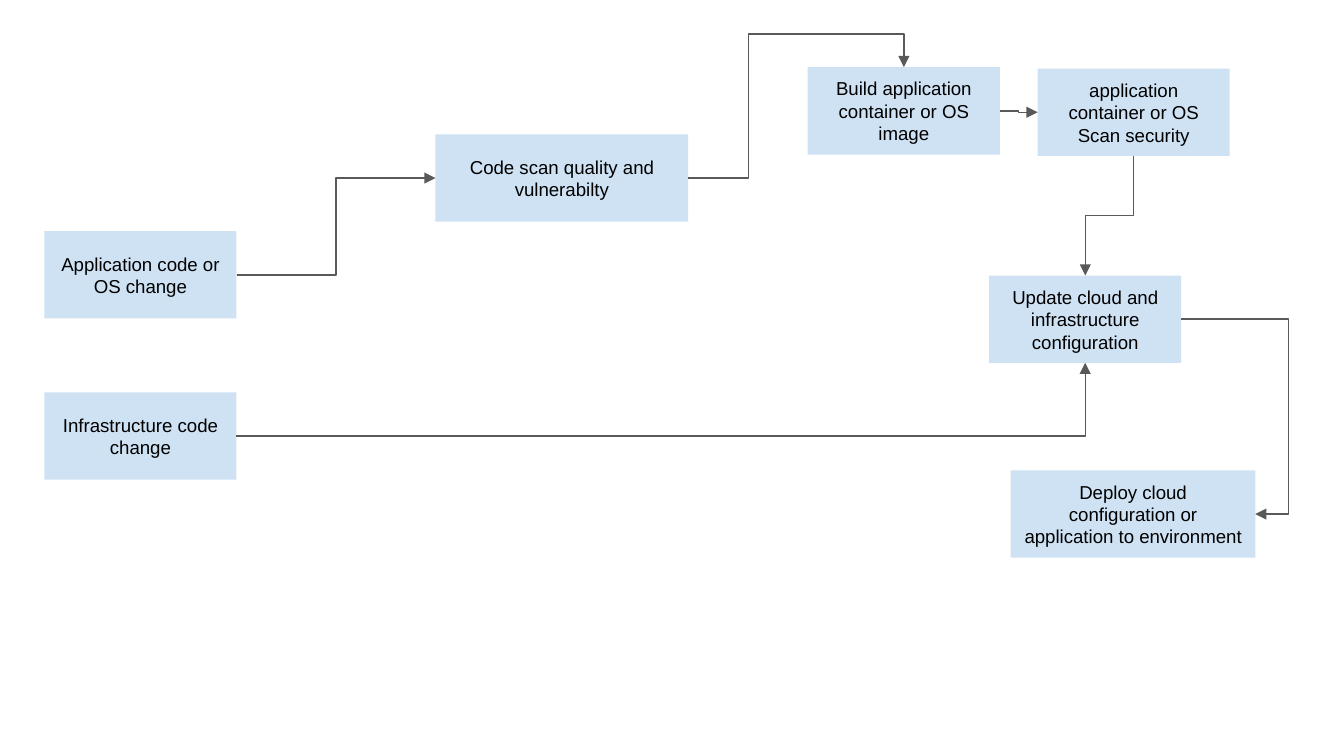
import pptx
import pptx.util
import pptx.dml.color
import pptx.enum.shapes
import pptx.enum.text
import pptx.oxml.ns
from lxml import etree

Inches = pptx.util.Inches
Pt = pptx.util.Pt
qn = pptx.oxml.ns.qn

BOX_FILL = pptx.dml.color.RGBColor(0xCF, 0xE2, 0xF3)
TEXT_COLOR = pptx.dml.color.RGBColor(0x00, 0x00, 0x00)
LINE_COLOR = pptx.dml.color.RGBColor(0x59, 0x59, 0x59)

BOX_HEIGHT = 0.65
BOX_WIDTH = 1.43
TOP, LEFT, BOTTOM, RIGHT = range(4)

# Step name: left, top, width, wording
STEPS = {
    "build": (6.01, 0.5, BOX_WIDTH, "Build application container or OS image"),
    "deploy": (7.52, 3.5, 1.82, "Deploy cloud configuration or application to environment"),
    "update": (7.36, 2.05, BOX_WIDTH, "Update cloud and infrastructure configuration"),
    "app_change": (0.33, 1.72, BOX_WIDTH, "Application code or OS change"),
    "infra_change": (0.33, 2.92, BOX_WIDTH, "Infrastructure code change"),
    "code_scan": (3.24, 1.0, 1.88, "Code scan quality and vulnerabilty"),
    "image_scan": (7.72, 0.51, BOX_WIDTH, "application container or OS Scan security"),
}

# Start step and side, end step and side, bend preset, bend adjustments
FLOWS = [
    ("app_change", RIGHT, "code_scan", LEFT, "bentConnector3", [0.5]),
    ("infra_change", RIGHT, "update", BOTTOM, "bentConnector2", []),
    ("update", RIGHT, "deploy", RIGHT, "bentConnector3", [1.45]),
    ("code_scan", RIGHT, "build", TOP, "bentConnector4", [0.28, 1.3]),
    ("build", RIGHT, "image_scan", LEFT, "bentConnector3", [0.5]),
    ("image_scan", BOTTOM, "update", TOP, "bentConnector3", [0.5]),
]


def add_step(page, left, top, width, wording):
    box = page.shapes.add_shape(
        pptx.enum.shapes.MSO_SHAPE.RECTANGLE,
        Inches(left), Inches(top), Inches(width), Inches(BOX_HEIGHT))
    box.shadow.inherit = False
    box.fill.solid()
    box.fill.fore_color.rgb = BOX_FILL
    box.line.fill.background()

    frame = box.text_frame
    frame.word_wrap = True
    frame.vertical_anchor = pptx.enum.text.MSO_ANCHOR.MIDDLE
    frame.margin_left = frame.margin_right = Inches(0.1)
    frame.margin_top = frame.margin_bottom = Inches(0.1)
    frame.text = wording
    para = frame.paragraphs[0]
    para.alignment = pptx.enum.text.PP_ALIGN.CENTER
    span = para.runs[0]
    span.font.name = "Arial"
    span.font.size = Pt(10)
    span.font.color.rgb = TEXT_COLOR
    return box


def turn_downward(flow):
    """Rotate a down-and-left connector so that it leaves vertically."""
    center_x = flow.left + flow.width // 2
    center_y = flow.top + flow.height // 2
    flow.width, flow.height = flow.height, flow.width
    flow.left = center_x - flow.width // 2
    flow.top = center_y - flow.height // 2
    frame = flow.element.spPr.find(qn("a:xfrm"))
    frame.attrib.pop("flipH", None)
    frame.set("rot", str(90 * 60000))


def add_flow(page, start, start_side, end, end_side, preset, bends):
    flow = page.shapes.add_connector(
        pptx.enum.shapes.MSO_CONNECTOR.ELBOW, 0, 0, 0, 0)
    flow.begin_connect(start, start_side)
    flow.end_connect(end, end_side)
    if start_side == BOTTOM:
        turn_downward(flow)
    flow.line.color.rgb = LINE_COLOR
    flow.line.width = Pt(0.75)

    # Bend shape, arrowhead and no shadow
    properties = flow.element.spPr
    geometry = properties.find(qn("a:prstGeom"))
    geometry.set("prst", preset)
    guides = geometry.find(qn("a:avLst"))
    if guides is None:
        guides = etree.SubElement(geometry, qn("a:avLst"))
    for number, bend in enumerate(bends, 1):
        etree.SubElement(guides, qn("a:gd"), name=f"adj{number}",
                         fmla=f"val {round(bend * 100000)}")
    etree.SubElement(properties.find(qn("a:ln")), qn("a:tailEnd"), type="triangle")
    etree.SubElement(properties, qn("a:effectLst"))


def add_pipeline(page):
    boxes = {name: add_step(page, *step) for name, step in STEPS.items()}
    for start, start_side, end, end_side, preset, bends in FLOWS:
        add_flow(page, boxes[start], start_side, boxes[end], end_side, preset, bends)


def main():
    deck = pptx.Presentation()
    # Widescreen page, 16:9
    deck.slide_width = Inches(10)
    deck.slide_height = Inches(10) * 9 // 16
    page = deck.slides.add_slide(deck.slide_layouts[6])
    add_pipeline(page)
    deck.save("out.pptx")


if __name__ == "__main__":
    main()
